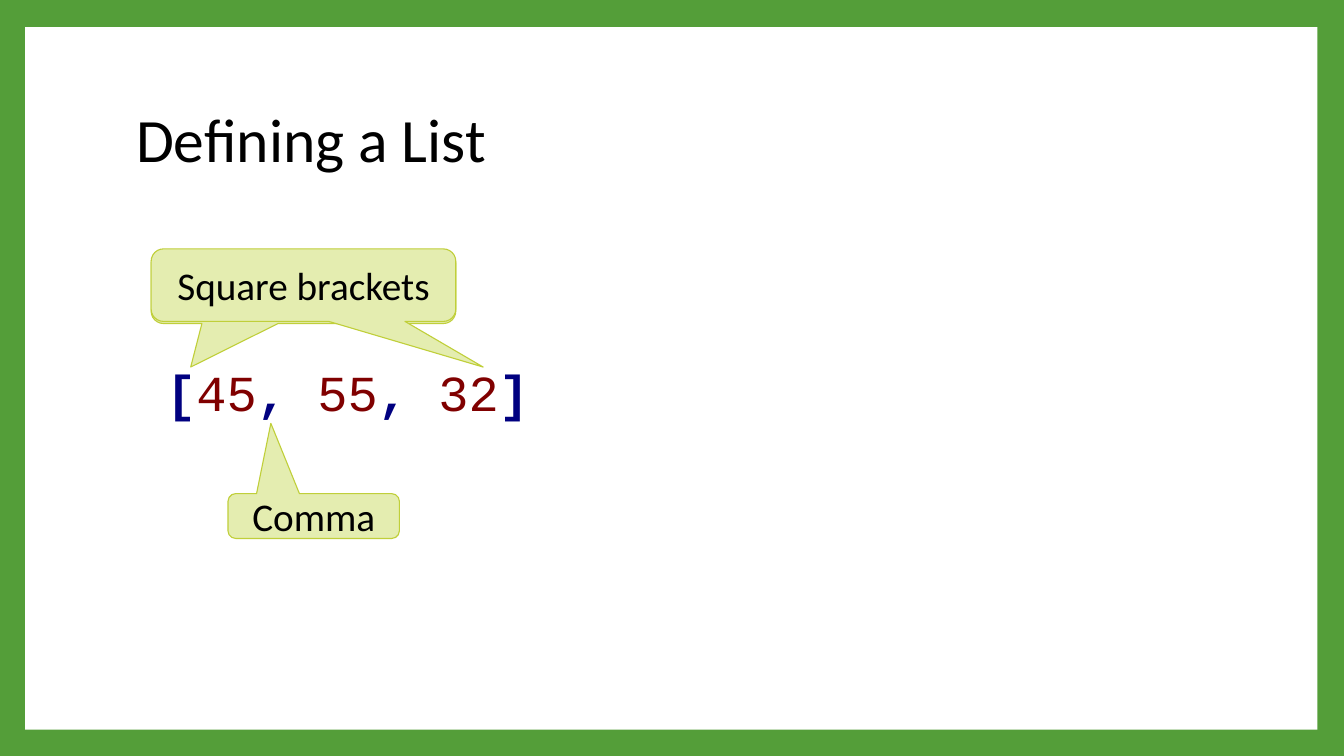
from pptx import Presentation
from pptx.dml.color import RGBColor
from pptx.enum.shapes import MSO_SHAPE
from pptx.enum.text import MSO_ANCHOR, MSO_AUTO_SIZE, PP_ALIGN
from pptx.util import Pt

RECT = MSO_SHAPE.RECTANGLE
BUBBLE = MSO_SHAPE.ROUNDED_RECTANGULAR_CALLOUT
MIDDLE = MSO_ANCHOR.MIDDLE
FIXED, GROW = MSO_AUTO_SIZE.NONE, MSO_AUTO_SIZE.SHAPE_TO_FIT_TEXT
LEFT, CENTER = PP_ALIGN.LEFT, PP_ALIGN.CENTER
TITLE_ONLY = 5

COLORS = {
    "frame": "549E39", "panel": "FFFFFF", "text": "000000",
    "mark": "000080", "number": "800000",
    "bubble": "E4EDB0", "edge": "C0CF3A",
}


def color(name):
    return RGBColor.from_string(COLORS[name])


def apply(target, **values):
    for name, value in values.items():
        setattr(target, name, value)


class Deck:
    """Holds the text style and the current slide; lengths are in points."""

    def __init__(self, width, height):
        self.deck = Presentation()
        apply(self.deck, slide_width=Pt(width), slide_height=Pt(height))
        self.slide = self.deck.slides.add_slide(self.deck.slide_layouts[TITLE_ONLY])
        self.shapes = self.slide.shapes
        self.font = "Calibri"

    def add_text(self, para, text, size, tone="text", **style):
        run = para.add_run()
        run.text = text
        apply(run.font, **{"name": self.font, "size": Pt(size), **style})
        run.font.color.rgb = color(tone)

    def shape(self, kind, box, fill):
        item = self.shapes.add_shape(kind, *map(Pt, box))
        item.shadow.inherit = False
        item.fill.solid()
        item.fill.fore_color.rgb = color(fill)
        return item

    def frame(self, box):
        """Colour the background and put a white panel behind all else."""
        back = self.slide.background.fill
        back.solid()
        back.fore_color.rgb = color("frame")
        panel = self.shape(RECT, box, "panel")
        panel.line.fill.background()
        self.shapes.title._element.addprevious(panel._element)

    def title(self, text, box):
        item = self.shapes.title
        apply(item, **dict(zip(("left", "top", "width", "height"), map(Pt, box))))
        apply(item.text_frame, vertical_anchor=MIDDLE, auto_size=FIXED, word_wrap=True)
        para = item.text_frame.paragraphs[0]
        apply(para, alignment=LEFT, line_spacing=0.9)
        self.add_text(para, text, 44)

    def code(self, parts, box):
        """Set numbers in one colour and the marks between them in bold."""
        item = self.shapes.add_textbox(*map(Pt, box))
        apply(item.text_frame, word_wrap=False, auto_size=GROW)
        para = item.text_frame.paragraphs[0]
        para._p.get_or_add_pPr().set("marL", str(Pt(3.6)))
        for part in parts:
            digit = part.isdigit()
            self.add_text(para, part, 36, "number" if digit else "mark",
                          name="Courier New", bold=not digit)

    def bubble(self, box, tip, text=""):
        """Draw a callout; tip is its point as a share of width and height."""
        item = self.shape(BUBBLE, box, "bubble")
        item.line.color.rgb = color("edge")
        item.line.width = Pt(0.79)
        for index, value in enumerate((*tip, 0.17)):
            item.adjustments[index] = value
        if text:
            para = item.text_frame.paragraphs[0]
            para.alignment = CENTER
            self.add_text(para, text, 28)


def main():
    show = Deck(960, 540)
    show.frame((18, 19.4, 923, 501.8))
    show.title("Defining a List", (90, 48.2, 777.6, 106.6))
    show.code(["[", "45", ", ", "55", ", ", "32", "]"], (108, 254.2, 280, 51))
    show.bubble((108, 179.3, 217.6, 51.8), (-0.37, 1.1))
    show.bubble((108, 177.8, 217.6, 51.8), (0.59, 1.13), "Square brackets")
    show.bubble((162.9, 352.6, 122.4, 32), (-0.25, -2.07), "Comma")
    show.deck.save("out.pptx")


if __name__ == "__main__":
    main()
